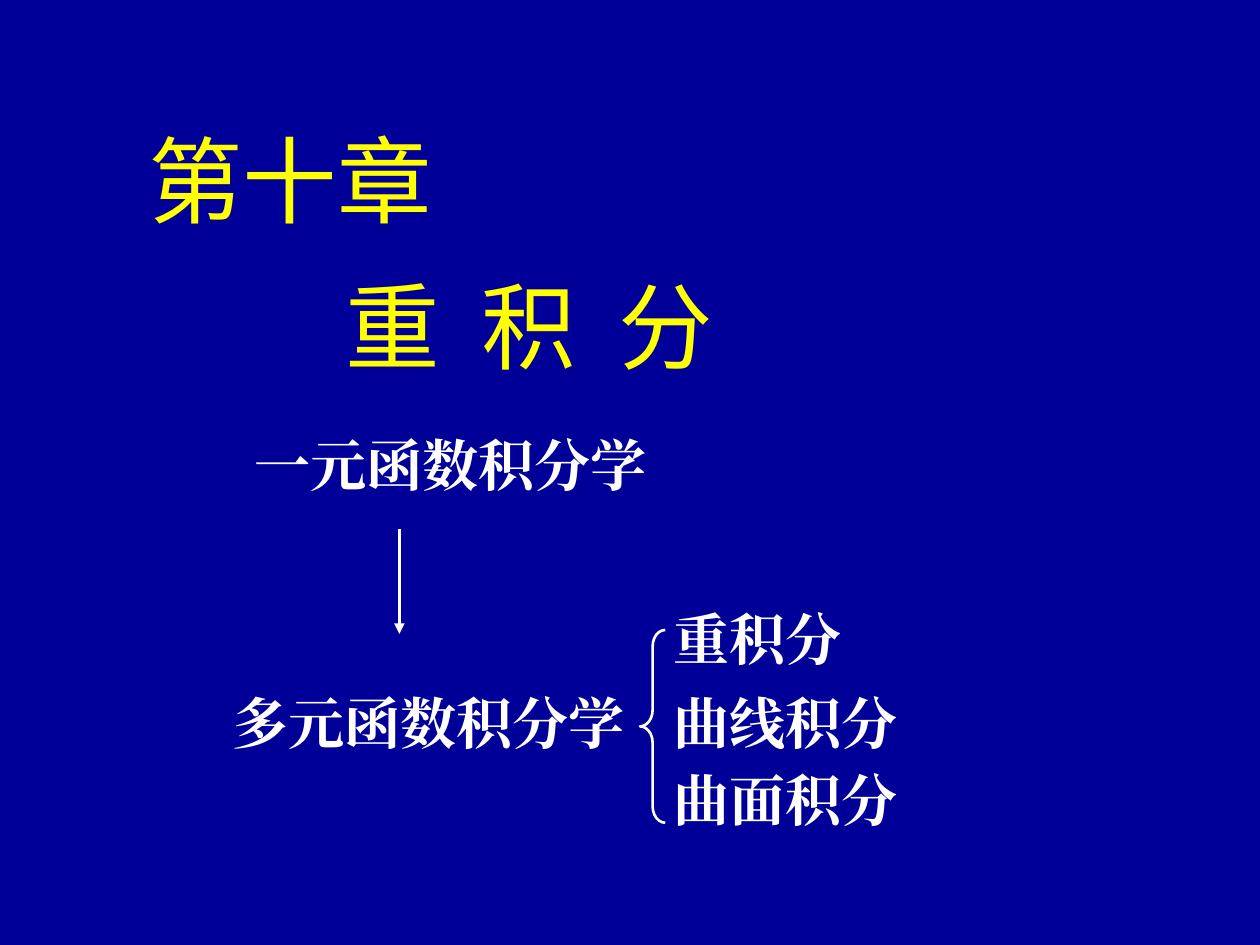
from lxml import etree
from pptx import Presentation
from pptx import util as u
from pptx.dml.color import RGBColor
from pptx.enum import shapes, text
from pptx.oxml import ns

NAVY = RGBColor(0x00, 0x00, 0x99)
YELLOW = RGBColor(0xFF, 0xFF, 0x00)
WHITE = RGBColor(0xFF, 0xFF, 0xFF)
HEADING_FONT = "Noto Sans CJK SC"
BODY_FONT = "Times New Roman"


class SlideBuilder:
    """Holds the slide and its style; one method per kind of element."""

    def __init__(self, slide):
        self.slide = slide
        self.line_width = u.Pt(1.5)
        slide.background.fill.solid()
        slide.background.fill.fore_color.rgb = NAVY

    def label(self, words, left, top, width, height=0.63, size=32,
              color=WHITE, face=BODY_FONT, bold=True, wrap=True):
        box = self.slide.shapes.add_textbox(
            u.Inches(left), u.Inches(top), u.Inches(width), u.Inches(height))
        frame = box.text_frame
        frame.word_wrap = wrap
        frame.vertical_anchor = text.MSO_ANCHOR.MIDDLE
        paragraph = frame.paragraphs[0]
        paragraph.text = words
        font = paragraph.font
        font.size, font.bold, font.name = u.Pt(size), bold, face
        font.color.rgb = color
        # Chinese characters take the East Asian typeface
        defaults = paragraph._p.pPr.find(ns.qn("a:defRPr"))
        etree.SubElement(defaults, ns.qn("a:ea"), typeface=face)

    def heading(self, words, left, top, width, wrap=True):
        self.label(words, left, top, width, 1, 54, YELLOW, HEADING_FONT,
                   False, wrap)

    def stroke(self, line):
        line.color.rgb = WHITE
        line.width = self.line_width

    def arrow_down(self, x, top, bottom):
        arrow = self.slide.shapes.add_connector(
            shapes.MSO_CONNECTOR.STRAIGHT, u.Inches(x), u.Inches(top),
            u.Inches(x), u.Inches(bottom))
        self.stroke(arrow.line)
        properties = arrow._element.spPr
        etree.SubElement(properties.find(ns.qn("a:ln")),
                         ns.qn("a:tailEnd"), type="triangle")
        etree.SubElement(properties, ns.qn("a:effectLst"))

    def brace(self, left, top, width, height):
        brace = self.slide.shapes.add_shape(
            shapes.MSO_SHAPE.LEFT_BRACE, u.Inches(left), u.Inches(top),
            u.Inches(width), u.Inches(height))
        brace.adjustments[0] = 0.65
        brace.adjustments[1] = 0.5
        brace.shadow.inherit = False
        brace.fill.background()
        self.stroke(brace.line)


def main():
    deck = Presentation()
    deck.slide_width, deck.slide_height = u.Inches(10), u.Inches(7.5)
    builder = SlideBuilder(deck.slides.add_slide(deck.slide_layouts[6]))

    # Chapter heading
    builder.heading("第十章", 1.08, 0.92, 2.75)
    builder.heading("重  积  分", 2.64, 2.08, 3.36, wrap=False)

    # From one variable to several
    builder.label("一元函数积分学", 1.92, 3.37, 3.75)
    builder.arrow_down(3.17, 4.2, 5.03)
    builder.label("多元函数积分学", 1.75, 5.42, 3.5)

    # Branches of multivariable integration
    builder.brace(5.08, 5, 0.2, 1.53)
    for branch, top, width in (("重积分", 4.75, 1.83),
                               ("曲线积分", 5.42, 2),
                               ("曲面积分", 6.03, 2.17)):
        builder.label(branch, 5.25, top, width)

    deck.save("out.pptx")


if __name__ == "__main__":
    main()
